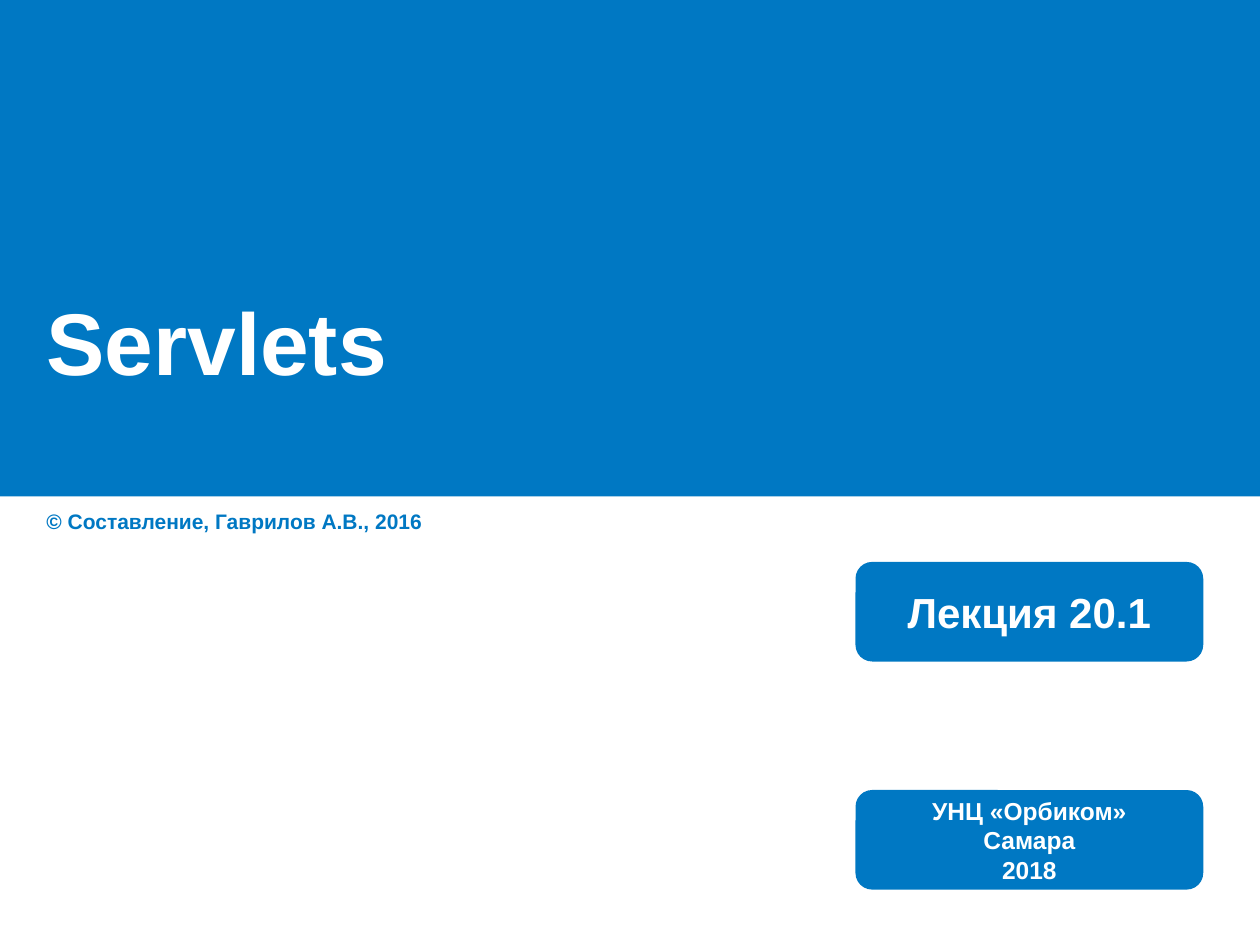
"""Build the title slide of the lecture on servlets."""
from dataclasses import dataclass

from pptx import Presentation
from pptx.dml.color import RGBColor as RGB
from pptx.enum.shapes import MSO_SHAPE as SHAPE
from pptx.enum.text import MSO_ANCHOR as ANCHOR, PP_ALIGN as ALIGN
from pptx.util import Inches, Pt


@dataclass(frozen=True)
class Theme:
    blue: RGB = RGB(0x00, 0x78, 0xC3)
    white: RGB = RGB(0xFF, 0xFF, 0xFF)
    font: str = "Arial"
    title: int = 50
    lecture: int = 24
    school: int = 14
    credit: int = 12


class Deck:
    def __init__(self, prs, theme):
        self.theme = theme
        self.s = prs.slides.add_slide(prs.slide_layouts[6])

    def fill_text(self, sp, lines, size, color, align, anchor, wrap):
        tf = sp.text_frame
        for name, value in {"word_wrap": wrap, "vertical_anchor": anchor}.items():
            setattr(tf, name, value)
        fmt = {"name": self.theme.font, "size": Pt(size), "bold": True}
        for i, line in enumerate(lines):
            p = tf.add_paragraph() if i else tf.paragraphs[0]
            p.alignment = align
            r = p.add_run()
            r.text = line
            for name, value in fmt.items():
                setattr(r.font, name, value)
            r.font.color.rgb = color

    def block(self, kind, box):
        sp = self.s.shapes.add_shape(kind, *map(Inches, box))
        sp.shadow.inherit = False
        sp.fill.solid()
        sp.fill.fore_color.rgb = self.theme.blue
        sp.line.fill.background()
        return sp

    def label(self, box, line, size, color, anchor=ANCHOR.TOP):
        sp = self.s.shapes.add_textbox(*map(Inches, box))
        self.fill_text(sp, [line], size, color, ALIGN.LEFT, anchor, True)

    def badge(self, top, lines, size):
        sp = self.block(SHAPE.ROUNDED_RECTANGLE, (6.79, top, 2.76, 0.79))
        self.fill_text(sp, lines, size, self.theme.white, ALIGN.CENTER, ANCHOR.MIDDLE, False)


def main():
    prs = Presentation()
    prs.slide_width, prs.slide_height = Inches(10), Inches(7.5)
    t = Theme()
    deck = Deck(prs, t)
    deck.block(SHAPE.RECTANGLE, (0, 0, 10, 3.94))
    deck.label((0.27, 1.49, 9.45, 2.42), "Servlets", t.title, t.white, ANCHOR.MIDDLE)
    deck.label((0.27, 3.99, 4.88, 0.3), "© Составление, Гаврилов А.В., 2016", t.credit, t.blue)
    deck.badge(4.46, ["Лекция 20.1"], t.lecture)
    deck.badge(6.27, ["УНЦ «Орбиком»", "Самара", "2018"], t.school)
    prs.save("out.pptx")


if __name__ == "__main__":
    main()
